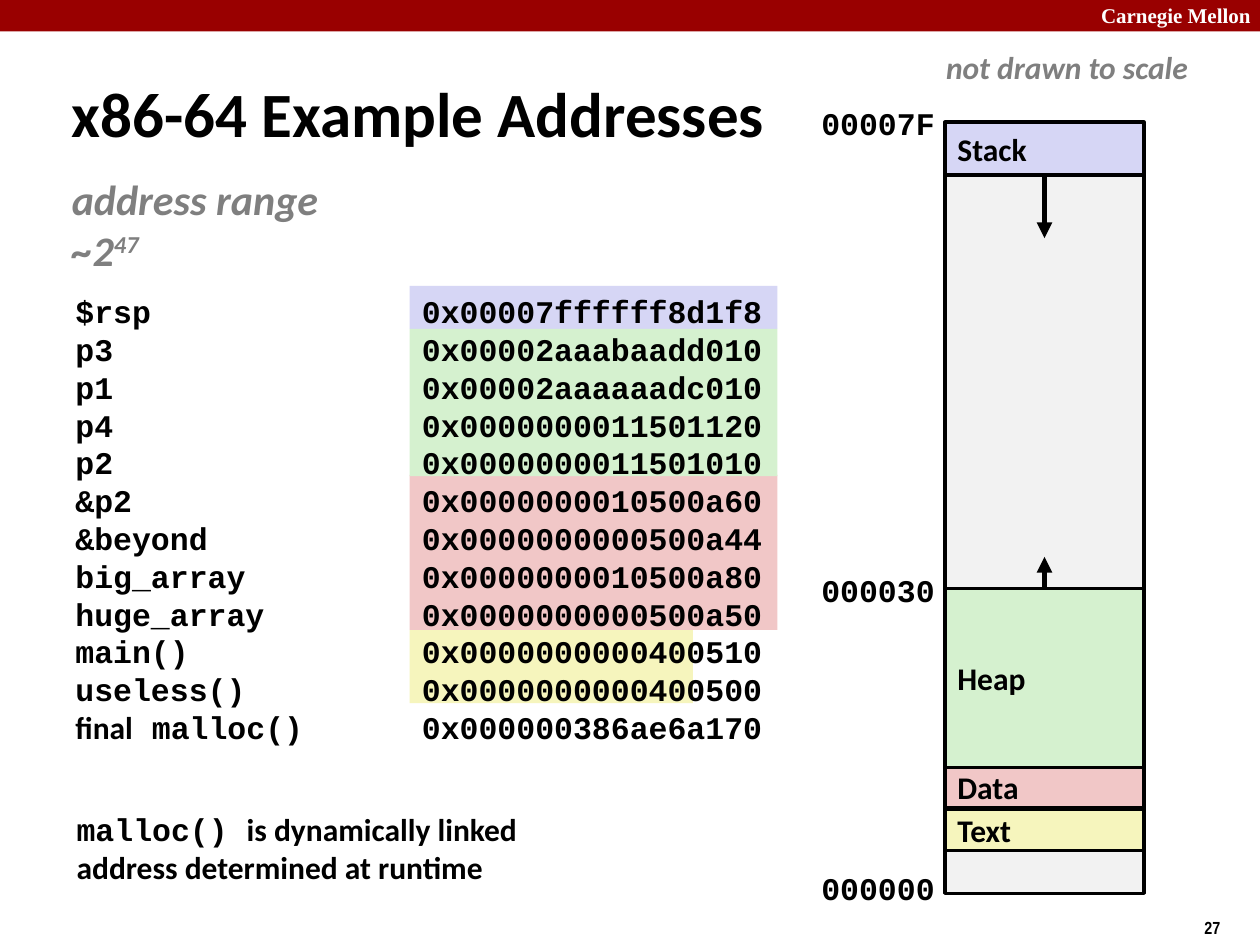
from lxml import etree
from pptx import Presentation, util as u
from pptx.dml.color import RGBColor
from pptx.enum import shapes, text
from pptx.oxml.ns import qn

COLOURS = {
    "black": "000000", "white": "FFFFFF", "banner": "990000", "muted": "7F7F7F",
    "stack": "D6D6F5", "heap": "D5F1CF", "data": "F1C7C7", "text": "F6F5BD",
    "unused": "F2F2F2",
}
SANS, MONO = "Calibri", "Courier New"
ADDRESSES = [
    ("$rsp", "0x00007ffffff8d1f8"),
    ("p3", "0x00002aaabaadd010"),
    ("p1", "0x00002aaaaaadc010"),
    ("p4", "0x0000000011501120"),
    ("p2", "0x0000000011501010"),
    ("&p2", "0x0000000010500a60"),
    ("&beyond", "0x0000000000500a44"),
    ("big_array", "0x0000000010500a80"),
    ("huge_array", "0x0000000000500a50"),
    ("main()", "0x0000000000400510"),
    ("useless()", "0x0000000000400500"),
]
HIGHLIGHTS = [
    ("text", 5, 2.25, 0.58),
    ("data", 3.77, 2.92, 1.23),
    ("stack", 2.27, 2.92, 0.34),
    ("heap", 2.61, 2.92, 1.17),
]
MEMORY_LEFT, MEMORY_WIDTH = 7.5, 1.58
MEMORY = [
    ("unused", "", 0.98, 6.11),
    ("stack", "Stack", 0.97, 0.42),
    ("text", "Text", 6.42, 0.33),
    ("data", "Data", 6.08, 0.33),
    ("heap", "Heap", 4.67, 1.42),
]
GROWTH = [(1.39, 1.89), (4.67, 4.42)]
BOUNDARIES = [("00007F", 0.78), ("000030", 4.48), ("000000", 6.85)]


class Slide:
    def __init__(self, deck):
        self.page = deck.slides.add_slide(deck.slide_layouts[5])

    def colour(self, name):
        return RGBColor.from_string(COLOURS[name])

    def style_run(self, span, size=18, face=SANS, colour="black", italic=False):
        font = span.font
        font.size, font.name = u.Pt(size), face
        font.bold, font.italic = True, italic
        font.color.rgb = self.colour(colour)

    def add_runs(self, para, pieces, **style):
        for words, face in pieces:
            span = para.add_run()
            span.text = words
            self.style_run(span, face=face, **style)

    def title(self, words, left, top, width, height):
        box = self.page.shapes.title
        box.left, box.top, box.width, box.height = map(u.Inches, (left, top, width, height))
        frame = box.text_frame
        frame.text = words
        frame.vertical_anchor = text.MSO_ANCHOR.MIDDLE
        frame.paragraphs[0].alignment = text.PP_ALIGN.LEFT
        self.style_run(frame.paragraphs[0].runs[0], size=36)

    def label(self, lines, left, top, width, height, wrap=False, tab=None, inset=0.1, **style):
        box = self.page.shapes.add_textbox(*map(u.Inches, (left, top, width, height)))
        frame = box.text_frame
        frame.word_wrap = wrap
        frame.margin_left = frame.margin_right = u.Inches(inset)
        for index, pieces in enumerate(lines):
            para = frame.add_paragraph() if index else frame.paragraphs[0]
            para.alignment = text.PP_ALIGN.LEFT
            if tab:
                stops = etree.SubElement(para._p.get_or_add_pPr(), qn("a:tabLst"))
                etree.SubElement(stops, qn("a:tab"), pos=str(u.Inches(tab)), algn="l")
            self.add_runs(para, pieces, **style)
        return frame

    def block(self, colour, left, top, width, height, caption="", outlined=False):
        box = self.page.shapes.add_shape(
            shapes.MSO_SHAPE.RECTANGLE, *map(u.Inches, (left, top, width, height)))
        box.shadow.inherit = False
        box.fill.solid()
        box.fill.fore_color.rgb = self.colour(colour)
        if outlined:
            box.line.color.rgb = self.colour("black")
            box.line.width = u.Pt(2)
        else:
            box.line.fill.background()
        if caption:
            frame = box.text_frame
            frame.word_wrap = False
            frame.vertical_anchor = text.MSO_ANCHOR.MIDDLE
            frame.paragraphs[0].alignment = text.PP_ALIGN.LEFT
            self.add_runs(frame.paragraphs[0], [(caption, SANS)])

    def arrow(self, x, start, end):
        arrow = self.page.shapes.add_connector(
            shapes.MSO_CONNECTOR.STRAIGHT, *map(u.Inches, (x, start, x, end)))
        arrow.line.color.rgb = self.colour("black")
        arrow.line.width = u.Pt(3)
        properties = arrow._element.spPr
        etree.SubElement(properties.get_or_add_ln(), qn("a:tailEnd"), type="triangle")
        etree.SubElement(properties, qn("a:effectLst"))


def main():
    deck = Presentation()
    deck.slide_width, deck.slide_height = u.Inches(10), u.Inches(7.5)
    slide = Slide(deck)

    slide.block("banner", 0, 0, 10, 0.25)
    slide.label([[("Carnegie Mellon", "Times New Roman")]], 8.64, -0.03, 1.43, 0.3,
                size=12, colour="white")
    slide.label([[("27", "Arial Narrow")]], 9.46, 7.23, 0.75, 0.27, size=10)
    slide.title("x86-64 Example Addresses", 0.47, 0.58, 7.19, 0.63)

    frame = slide.label([[("address range ~2", SANS), ("47", SANS)]], 0.52, 1.33, 2.66, 0.5,
                        inset=0.05, size=24, colour="muted", italic=True)
    exponent = frame.paragraphs[0].runs[1]
    exponent.font._element.set("baseline", "30000")

    for colour, top, width, height in HIGHLIGHTS:
        slide.block(colour, 3.25, top, width, height)
    rows = [[(f"{name}\t{address}", MONO)] for name, address in ADDRESSES]
    rows.append([("final", SANS), (" malloc()\t0x000000386ae6a170", MONO)])
    slide.label(rows, 0.5, 2.27, 5.67, 3.7, wrap=True, tab=2.75)

    for colour, caption, top, height in MEMORY:
        slide.block(colour, MEMORY_LEFT, top, MEMORY_WIDTH, height, caption, outlined=True)
    for start, end in GROWTH:
        slide.arrow(MEMORY_LEFT + MEMORY_WIDTH / 2, start, end)
    for address, top in BOUNDARIES:
        slide.label([[(address, MONO)]], 6.42, top, 1.1, 0.4)

    slide.label([[("not drawn to scale", SANS)]], 7.41, 0.33, 2.12, 0.4,
                colour="muted", italic=True)
    slide.label([[("malloc() ", MONO), ("is dynamically linked", SANS)],
                 [("address determined at runtime", SANS)]], 0.51, 6.38, 3.7, 0.7, wrap=True)
    deck.save("out.pptx")


if __name__ == "__main__":
    main()
